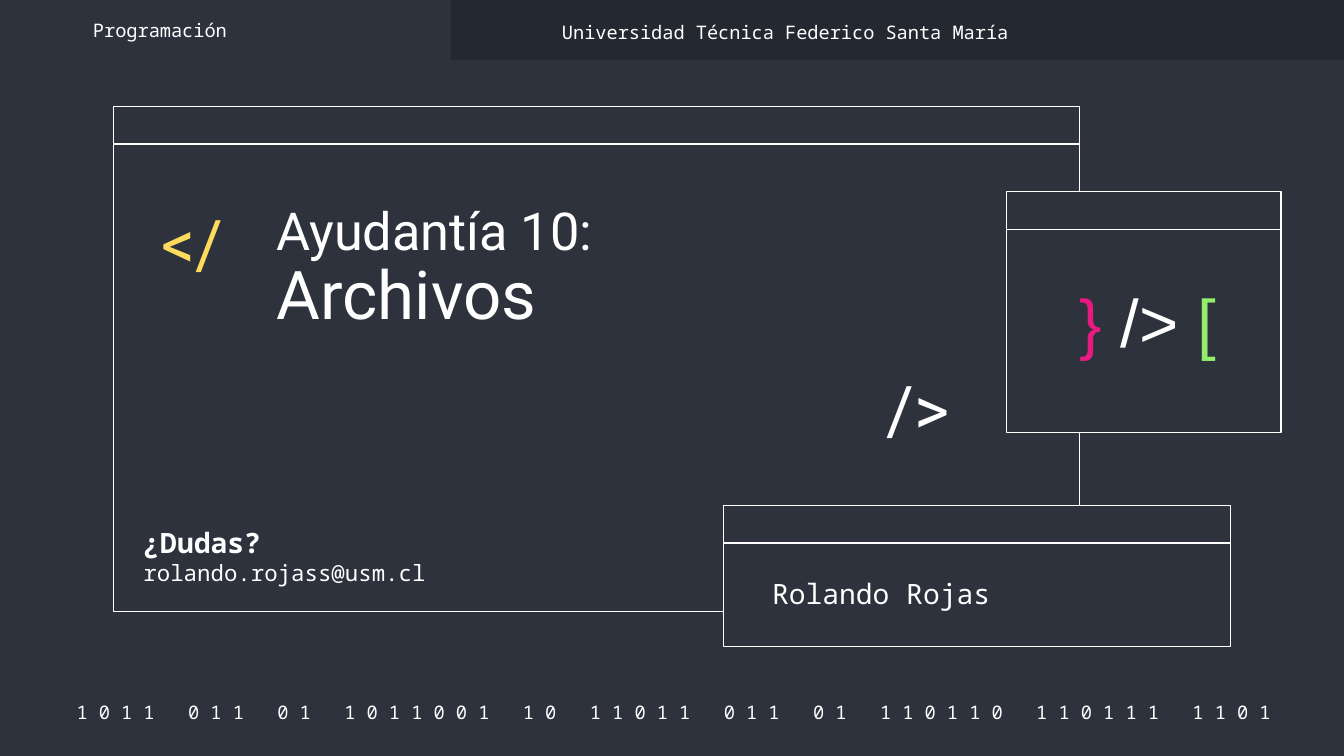
"""Build the title slide of a programming tutorial on files."""
from lxml import etree
from pptx import Presentation
from pptx.dml.color import RGBColor
from pptx.enum.shapes import MSO_SHAPE
from pptx.enum.text import MSO_ANCHOR, MSO_AUTO_SIZE, PP_ALIGN
from pptx.oxml.ns import qn
from pptx.util import Emu, Pt

RECTANGLE = MSO_SHAPE.RECTANGLE
LEFT, CENTER = PP_ALIGN.LEFT, PP_ALIGN.CENTER
TOP, MIDDLE = MSO_ANCHOR.TOP, MSO_ANCHOR.MIDDLE
NO_FIT = MSO_AUTO_SIZE.NONE

EMU_PER_PX = 9525
TITLE_ONLY = 5
BAR_HEIGHT = 27
INSET = 9.6
MONO, SANS, PLAIN = "Noto Sans Mono", "Roboto", "Arial"
SLATE, DARK, WHITE = "2D323C", "242830", "FFFFFF"
YELLOW, PINK, GREEN = "FFDB5D", "E81981", "94EE6B"
BITS = "1011 011 01 1011001 10 11011 011 01 110110 110111 1101"


def px(length):
    """Turn pixels into EMU."""
    return Emu(round(length * EMU_PER_PX))


def color(value):
    """Turn a hex string into a colour."""
    return RGBColor.from_string(value)


def add_panel(page, left, top, width, height, fill=SLATE, line=None):
    """Add a filled rectangle, outlined when a line colour is given."""
    panel = page.shapes.add_shape(RECTANGLE, px(left), px(top), px(width), px(height))
    panel.shadow.inherit = False
    panel.fill.solid()
    panel.fill.fore_color.rgb = color(fill)
    if line:
        panel.line.color.rgb = color(line)
        panel.line.width = Pt(0.75)
    else:
        panel.line.fill.background()


def add_window(page, left, top, width, height):
    """Add a window outline with its title bar."""
    for part_height in (height, BAR_HEIGHT):
        add_panel(page, left, top, width, part_height, line=WHITE)


def format_frame(frame, anchor):
    """Set wrapping, insets and anchor of a text frame."""
    frame.word_wrap = True
    frame.auto_size = NO_FIT
    frame.vertical_anchor = anchor
    frame.margin_left = frame.margin_right = px(INSET)
    frame.margin_top = frame.margin_bottom = px(INSET)


def format_span(span, size, font=MONO, tint=WHITE, bold=False):
    """Set size, font, colour and weight of a run."""
    span.font.size = Pt(size)
    span.font.name = font
    span.font.color.rgb = color(tint)
    span.font.bold = bold


def add_text(page, place, text, size, font=MONO, tint=WHITE,
             align=LEFT, anchor=MIDDLE, spacing=1.0):
    """Add a text box with evenly formatted text and return its frame."""
    frame = page.shapes.add_textbox(*map(px, place)).text_frame
    format_frame(frame, anchor)
    frame.text = text
    for para in frame.paragraphs:
        para.alignment = align
        para.line_spacing = spacing
        for span in para.runs:
            format_span(span, size, font, tint)
    return frame


def place_title(page, place, first, second):
    """Move the title placeholder to the front and fill its two lines."""
    title = page.shapes.title
    title.left, title.top, title.width, title.height = map(px, place)
    page.shapes._spTree.append(title._element)
    format_frame(title.text_frame, TOP)
    title.text_frame.text = f"{first}\v{second}"
    para = title.text_frame.paragraphs[0]
    para.alignment = LEFT
    para.line_spacing = 0.9
    for span, size in zip(para.runs, (28, 36)):
        format_span(span, size, SANS)
    line_break = para._p.find(qn("a:br"))
    etree.SubElement(line_break, qn("a:rPr"), sz="2800")


def add_symbols(page, place):
    """Add the row of coloured code symbols."""
    frame = add_text(page, place, "}", 36, PLAIN, PINK, CENTER, TOP, 0.9)
    for text, tint in ((" /> ", WHITE), ("[", GREEN)):
        span = frame.paragraphs[0].add_run()
        span.text = text
        format_span(span, 36, PLAIN, tint)


def add_contact(page, place):
    """Add the contact heading and address."""
    frame = add_text(page, place, "¿Dudas?\nrolando.rojass@usm.cl", 12, anchor=TOP)
    format_span(frame.paragraphs[0].runs[0], 15, bold=True)


def main():
    """Build and save the slide."""
    deck = Presentation()
    deck.slide_width, deck.slide_height = px(960), px(540)
    page = deck.slides.add_slide(deck.slide_layouts[TITLE_ONLY])
    page.background.fill.solid()
    page.background.fill.fore_color.rgb = color(SLATE)

    binary = "   ".join(" ".join(word) for word in BITS.split())
    add_text(page, (36, 499, 890, 19), binary, 10, align=CENTER)
    add_panel(page, 322, 0, 638, 43, fill=DARK)
    for window in ((81, 76, 690, 361), (517, 361, 362, 101), (719, 137, 196, 172)):
        add_window(page, *window)

    add_text(page, (106, 145, 74, 63), "</", 36, SANS, YELLOW, spacing=0.9)
    add_text(page, (624, 263, 74, 63), "/>", 36, SANS, spacing=0.9)
    add_symbols(page, (756, 197, 128, 79))
    place_title(page, (188, 137, 436, 176), "Ayudantía 10:", "Archivos")
    add_text(page, (542, 396, 320, 56), "Rolando Rojas", 15)
    add_text(page, (57, 12, 210, 19), "Programación", 10)
    add_text(page, (392, 12, 523, 22), "Universidad Técnica Federico Santa María", 10)
    add_contact(page, (93, 366, 346, 63))
    deck.save("out.pptx")


if __name__ == "__main__":
    main()
